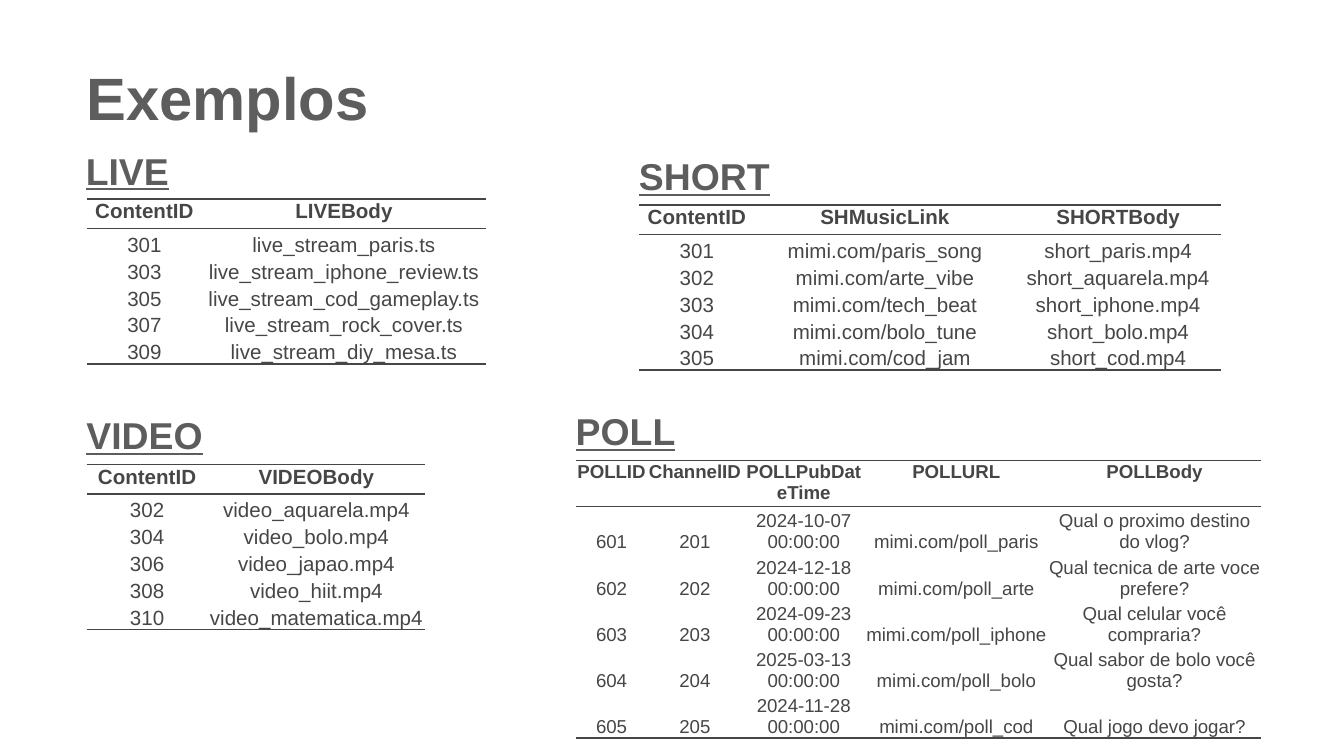
from dataclasses import dataclass

from lxml import etree
from pptx import Presentation
from pptx.dml.color import RGBColor
from pptx.enum import text as tx
from pptx.oxml import ns
from pptx.util import Emu, Pt

PX = 4572
GREY = RGBColor(0x5D, 0x5D, 0x5D)
DARK = RGBColor(0x46, 0x46, 0x46)
PLAIN = "{2D5ABB26-0587-4C30-8999-92F81FD0307C}"


@dataclass
class Block:
    name: str
    head: tuple[int, int, int]
    left: int
    top: int
    cols: list[int]
    rows: list[int]
    size: int
    data: list[tuple[str, ...]]


ROWS = [44, 42, 40, 40, 40, 40]

BLOCKS = [
    Block("LIVE", (108, 210, 326), 129, 296, [172, 422], ROWS, 11, [
        ("ContentID", "LIVEBody"),
        ("301", "live_stream_paris.ts"),
        ("303", "live_stream_iphone_review.ts"),
        ("305", "live_stream_cod_gameplay.ts"),
        ("307", "live_stream_rock_cover.ts"),
        ("309", "live_stream_diy_mesa.ts"),
    ]),
    Block("VIDEO", (109, 604, 442), 129, 691, [180, 324], ROWS, 11, [
        ("ContentID", "VIDEOBody"),
        ("302", "video_aquarela.mp4"),
        ("304", "video_bolo.mp4"),
        ("306", "video_japao.mp4"),
        ("308", "video_hiit.mp4"),
        ("310", "video_matematica.mp4"),
    ]),
    Block("SHORT", (931, 218, 516), 951, 305, [172, 388, 306], ROWS, 11, [
        ("ContentID", "SHMusicLink", "SHORTBody"),
        ("301", "mimi.com/paris_song", "short_paris.mp4"),
        ("302", "mimi.com/arte_vibe", "short_aquarela.mp4"),
        ("303", "mimi.com/tech_beat", "short_iphone.mp4"),
        ("304", "mimi.com/bolo_tune", "short_bolo.mp4"),
        ("305", "mimi.com/cod_jam", "short_cod.mp4"),
    ]),
    Block("POLL", (837, 598, 516), 857, 685, [106, 142, 182, 272, 318],
          [68] * 6, 10, [
        ("POLLID", "ChannelID", "POLLPubDateTime", "POLLURL", "POLLBody"),
        ("601", "201", "2024-10-07 00:00:00", "mimi.com/poll_paris",
         "Qual o proximo destino do vlog?"),
        ("602", "202", "2024-12-18 00:00:00", "mimi.com/poll_arte",
         "Qual tecnica de arte voce prefere?"),
        ("603", "203", "2024-09-23 00:00:00", "mimi.com/poll_iphone",
         "Qual celular você compraria?"),
        ("604", "204", "2025-03-13 00:00:00", "mimi.com/poll_bolo",
         "Qual sabor de bolo você gosta?"),
        ("605", "205", "2024-11-28 00:00:00", "mimi.com/poll_cod",
         "Qual jogo devo jogar?"),
    ]),
]


def px(val: int) -> Emu:
    return Emu(val * PX)


def write(frame, words: str, *, size: int, color: RGBColor,
          bold: bool = True, line: bool = False,
          align=tx.PP_ALIGN.LEFT) -> None:
    para = frame.paragraphs[0]
    para.alignment = align
    run = para.add_run()
    run.text = words
    font = run.font
    font.name = "Arial"
    font.size = Pt(size)
    font.bold = bold
    font.color.rgb = color
    if line:
        font.underline = True


def place(shape, left: int, top: int, wide: int, high: int) -> None:
    shape.left, shape.top = px(left), px(top)
    shape.width, shape.height = px(wide), px(high)
    frame = shape.text_frame
    frame.word_wrap = True
    frame.auto_size = tx.MSO_AUTO_SIZE.SHAPE_TO_FIT_TEXT
    frame.vertical_anchor = tx.MSO_ANCHOR.TOP


def rule(cell, side: str) -> None:
    props = cell._tc.get_or_add_tcPr()
    edge = etree.SubElement(props, ns.qn(f"a:ln{side}"), w=str(Pt(1)))
    fill = etree.SubElement(edge, ns.qn("a:solidFill"))
    etree.SubElement(fill, ns.qn("a:srgbClr"), val=str(DARK))


def fill_cell(cell, words: str, row: int, last: int, size: int) -> None:
    cell.margin_left = cell.margin_right = cell.margin_bottom = 0
    cell.margin_top = px(2)
    top = row == 0
    cell.vertical_anchor = tx.MSO_ANCHOR.TOP if top else tx.MSO_ANCHOR.BOTTOM
    write(cell.text_frame, words, size=size, color=DARK, bold=top,
          align=tx.PP_ALIGN.CENTER)
    if top:
        rule(cell, "T")
    if row in (0, last):
        rule(cell, "B")
    cell.fill.background()


def draw(slide, block: Block) -> None:
    box = slide.shapes.add_textbox(0, 0, 0, 0)
    place(box, *block.head, 88)
    write(box.text_frame, block.name, size=20, color=GREY, line=True)
    grid = slide.shapes.add_table(
        len(block.rows), len(block.cols), px(block.left), px(block.top),
        px(sum(block.cols)), px(sum(block.rows))).table
    grid.horz_banding = False
    grid._tbl.tblPr.find(ns.qn("a:tableStyleId")).text = PLAIN
    for col, wide in zip(grid.columns, block.cols):
        col.width = px(wide)
    for row, high in zip(grid.rows, block.rows):
        row.height = px(high)
    last = len(block.rows) - 1
    for i, line in enumerate(block.data):
        for j, words in enumerate(line):
            fill_cell(grid.cell(i, j), words, i, last, block.size)


def main() -> None:
    deck = Presentation()
    deck.slide_width, deck.slide_height = px(2000), px(1125)
    slide = deck.slides.add_slide(deck.slide_layouts[5])
    title = slide.shapes.title
    place(title, 109, 80, 974, 128)
    write(title.text_frame, "Exemplos", size=32, color=GREY)
    for block in BLOCKS:
        draw(slide, block)
    deck.save("out.pptx")


if __name__ == "__main__":
    main()
